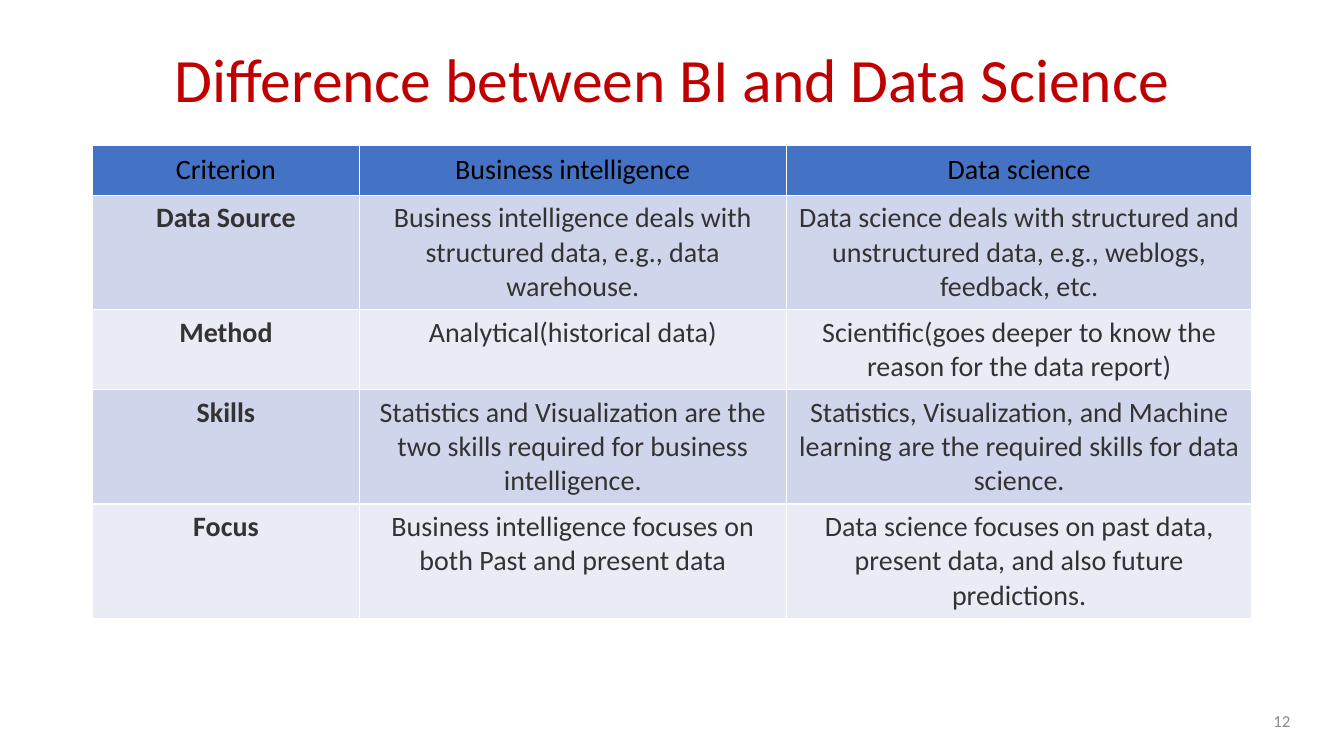
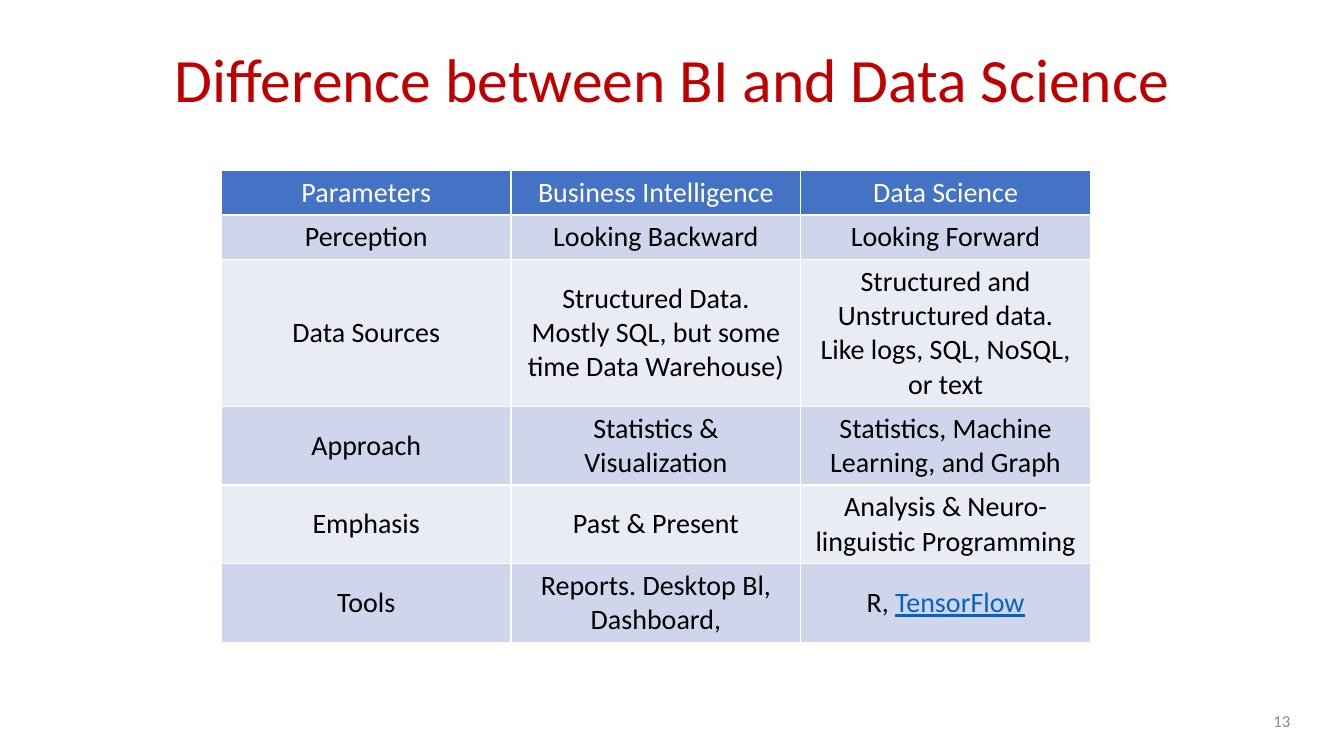
from dataclasses import dataclass

import lxml.etree
import pptx
import pptx.dml.color
import pptx.enum.text
import pptx.oxml.ns
import pptx.util

Cm = pptx.util.Cm
Pt = pptx.util.Pt
Align = pptx.enum.text.PP_ALIGN
Anchor = pptx.enum.text.MSO_ANCHOR


@dataclass(frozen=True)
class Theme:
    font: str = "Calibri"
    title: str = "C00000"
    header: str = "4472C4"
    bands: tuple = ("CFD5EA", "E9EBF5")
    border: str = "FFFFFF"
    number: str = "8C8C8C"
    black: str = "000000"
    white: str = "FFFFFF"
    grey: str = "333333"
    link: str = "0563C1"
    title_size: int = 44
    table_size: int = 20
    number_size: int = 12
    border_width: int = 1
    line_height: float = 0.86


@dataclass(frozen=True)
class TableStyle:
    header_color: str
    body_color: str
    header_margins: tuple
    body_margins: tuple
    anchor: Anchor
    bold_labels: bool = False


class SlideBuilder:
    def __init__(self, deck, theme):
        self.deck = deck
        self.theme = theme
        self.page = None

    def start(self, title, number):
        self.page = self.deck.slides.add_slide(self.deck.slide_layouts[6])
        theme = self.theme
        self.text(title, (2.34, 1.1, 29.21, 1.96), theme.title_size, theme.title, Align.CENTER, 0.9)
        self.text(str(number), (25.15, 17.65, 7.62, 1.02), theme.number_size, theme.number, Align.RIGHT)

    def format(self, span, size, color, bold=False):
        span.font.name = self.theme.font
        span.font.size = Pt(size)
        span.font.bold = bold
        span.font.color.rgb = pptx.dml.color.RGBColor.from_string(color)

    def text(self, words, place, size, color, align, spacing=None):
        box = self.page.shapes.add_textbox(*map(Cm, place))
        frame = box.text_frame
        frame.word_wrap = True
        frame.vertical_anchor = Anchor.MIDDLE
        frame.text = words
        para = frame.paragraphs[0]
        para.alignment = align
        para.line_spacing = spacing
        self.format(para.runs[0], size, color)

    def border(self, cell):
        properties = cell._tc.get_or_add_tcPr()
        name = pptx.oxml.ns.qn
        for side in ("a:lnL", "a:lnR", "a:lnT", "a:lnB"):
            line = lxml.etree.SubElement(properties, name(side), w=str(Pt(self.theme.border_width)))
            fill = lxml.etree.SubElement(line, name("a:solidFill"))
            lxml.etree.SubElement(fill, name("a:srgbClr"), val=self.theme.border)

    def cell(self, cell, words, fill, color, margins, anchor, bold):
        self.border(cell)
        cell.fill.solid()
        cell.fill.fore_color.rgb = pptx.dml.color.RGBColor.from_string(fill)
        across, down = map(Cm, margins)
        cell.margin_left = cell.margin_right = across
        cell.margin_top = cell.margin_bottom = down
        cell.vertical_anchor = anchor
        cell.text_frame.text = words
        para = cell.text_frame.paragraphs[0]
        para.alignment = Align.CENTER
        for span in para.runs:
            self.format(span, self.theme.table_size, color, bold)
        return para

    def table(self, left, top, widths, rows, line_counts, style):
        theme = self.theme
        margins = [style.header_margins] + [style.body_margins] * (len(rows) - 1)
        heights = [count * theme.line_height + 2 * down for count, (_, down) in zip(line_counts, margins)]
        place = (left, top, sum(widths), sum(heights))
        table = self.page.shapes.add_table(len(rows), len(widths), *map(Cm, place)).table
        table.first_row = table.horz_banding = False
        for column, width in zip(table.columns, widths):
            column.width = Cm(width)
        for index, row in enumerate(rows):
            table.rows[index].height = Cm(heights[index])
            fill = theme.bands[(index - 1) % 2] if index else theme.header
            color = style.body_color if index else style.header_color
            for position, words in enumerate(row):
                bold = style.bold_labels and index > 0 and position == 0
                self.cell(table.cell(index, position), words, fill, color, margins[index], style.anchor, bold)
        return table

    def link_look(self, cell, words):
        span = cell.text_frame.paragraphs[0].add_run()
        span.text = words
        self.format(span, self.theme.table_size, self.theme.link)
        span.font.underline = True


CRITERIA = [
    ("Criterion", "Business intelligence", "Data science"),
    ("Data Source",
     "Business intelligence deals with structured data, e.g., data warehouse.",
     "Data science deals with structured and unstructured data, e.g., weblogs, feedback, etc."),
    ("Method",
     "Analytical(historical data)",
     "Scientific(goes deeper to know the reason for the data report)"),
    ("Skills",
     "Statistics and Visualization are the two skills required for business intelligence.",
     "Statistics, Visualization, and Machine learning are the required skills for data science."),
    ("Focus",
     "Business intelligence focuses on both Past and present data",
     "Data science focuses on past data, present data, and also future predictions."),
]

PARAMETERS = [
    ("Parameters", "Business Intelligence", "Data Science"),
    ("Perception", "Looking Backward", "Looking Forward"),
    ("Data Sources",
     "Structured Data. Mostly SQL, but some time Data Warehouse)",
     "Structured and Unstructured data.\vLike logs, SQL, NoSQL, or text"),
    ("Approach", "Statistics & Visualization", "Statistics, Machine Learning, and Graph"),
    ("Emphasis", "Past & Present", "Analysis & Neuro-linguistic Programming"),
    ("Tools", "Reports. Desktop Bl, Dashboard,", "R, "),
]


def main():
    deck = pptx.Presentation()
    deck.slide_width = Cm(33.87)
    deck.slide_height = Cm(19.05)
    theme = Theme()
    builder = SlideBuilder(deck, theme)
    title = "Difference between BI and Data Science"

    builder.start(title, 12)
    criteria_style = TableStyle(theme.black, theme.grey, (0.2, 0.2), (0.15, 0.15), Anchor.TOP, True)
    builder.table(2.34, 3.66, (6.71, 10.77, 11.73), CRITERIA, (1, 3, 2, 3, 3), criteria_style)

    builder.start(title, 13)
    parameter_style = TableStyle(theme.white, theme.black, (0.25, 0.13), (0.25, 0.13), Anchor.MIDDLE)
    table = builder.table(5.58, 4.3, (7.3,) * 3, PARAMETERS, (1, 1, 4, 2, 2, 2), parameter_style)
    builder.link_look(table.cell(5, 2), "TensorFlow")

    deck.save("out.pptx")


if __name__ == "__main__":
    main()
